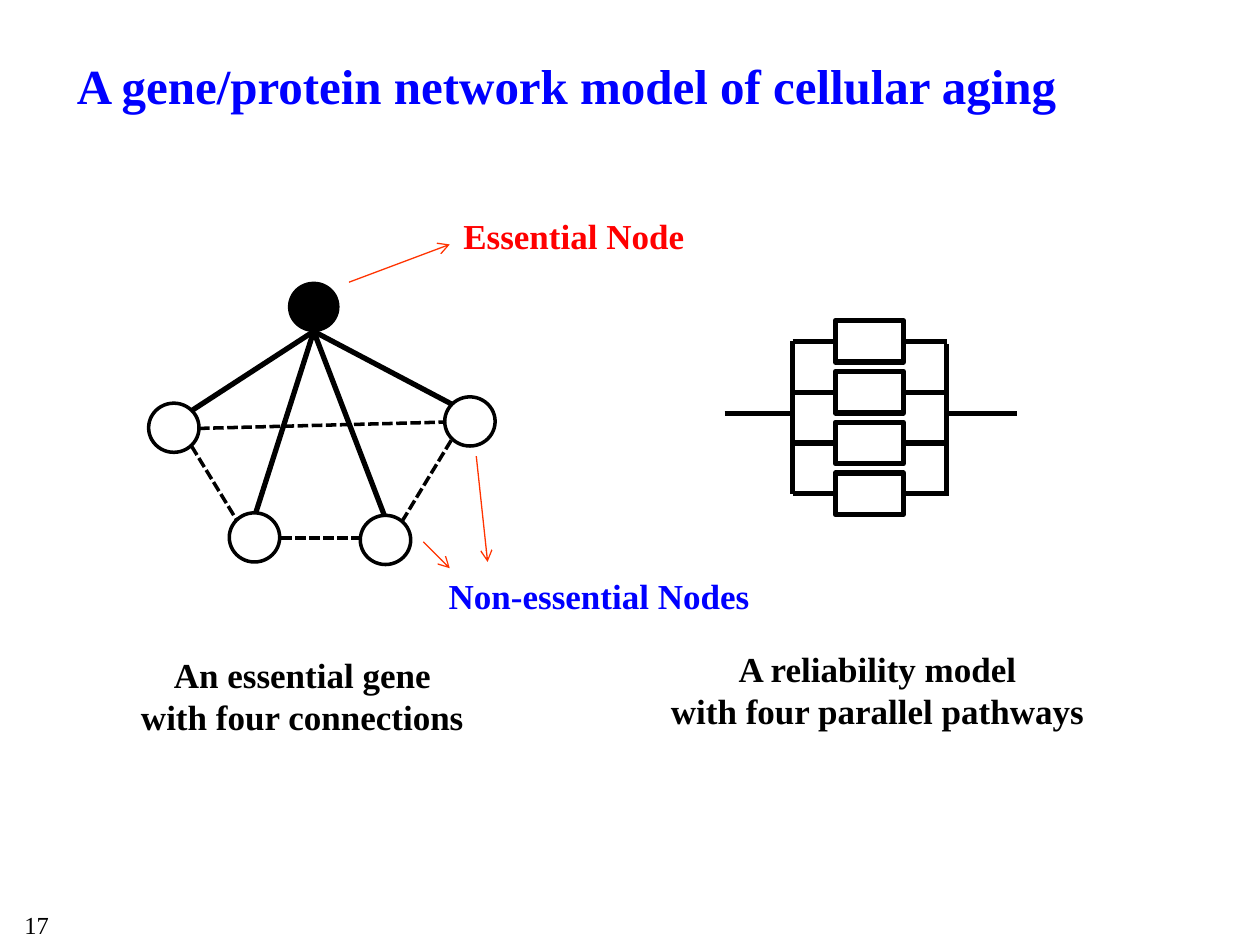
from dataclasses import dataclass

from lxml import etree
from pptx import Presentation
from pptx.dml.color import RGBColor
from pptx.enum import dml, shapes, text
from pptx.oxml import ns
from pptx.util import Inches, Pt

BLACK = RGBColor(0x00, 0x00, 0x00)
WHITE = RGBColor(0xFF, 0xFF, 0xFF)
BLUE = RGBColor(0x00, 0x00, 0xFF)
RED = RGBColor(0xFF, 0x00, 0x00)
ORANGE = RGBColor(0xFF, 0x33, 0x00)
FONT = "Times New Roman"


@dataclass
class Link:
    start: tuple[float, float]
    end: tuple[float, float]
    color: RGBColor = BLACK
    width: float = 3
    dashed: bool = False
    arrow: bool = False


@dataclass
class Node:
    left: float
    top: float
    width: float = 0.4
    height: float = 0.39
    fill: RGBColor | None = None
    line_width: float = 2
    kind: shapes.MSO_SHAPE = shapes.MSO_SHAPE.OVAL


@dataclass
class Label:
    lines: list[str]
    left: float
    top: float
    width: float
    height: float
    color: RGBColor = BLACK
    size: float = 20
    bold: bool = True


def write_line(paragraph, words: str, size: float, color: RGBColor, bold: bool) -> None:
    run = paragraph.add_run()
    run.text = words
    run.font.name = FONT
    run.font.size = Pt(size)
    run.font.bold = bold
    run.font.color.rgb = color


def draw_link(slide, link: Link) -> None:
    points = [Inches(v) for v in (*link.start, *link.end)]
    connector = slide.shapes.add_connector(shapes.MSO_CONNECTOR.STRAIGHT, *points)
    line = connector.line
    line.color.rgb = link.color
    line.width = Pt(link.width)
    if link.dashed:
        line.dash_style = dml.MSO_LINE.SQUARE_DOT
    properties = connector._element.spPr
    if link.arrow:
        outline = properties.find(ns.qn("a:ln"))
        etree.SubElement(outline, ns.qn("a:tailEnd"), type="arrow")
    etree.SubElement(properties, ns.qn("a:effectLst"))


def draw_node(slide, node: Node) -> None:
    box = (Inches(v) for v in (node.left, node.top, node.width, node.height))
    shape = slide.shapes.add_shape(node.kind, *box)
    shape.shadow.inherit = False
    if node.fill is None:
        shape.fill.background()
    else:
        shape.fill.solid()
        shape.fill.fore_color.rgb = node.fill
    shape.line.color.rgb = BLACK
    shape.line.width = Pt(node.line_width)


def draw_label(slide, label: Label) -> None:
    box = (Inches(v) for v in (label.left, label.top, label.width, label.height))
    frame = slide.shapes.add_textbox(*box).text_frame
    frame.word_wrap = False
    for index, words in enumerate(label.lines):
        paragraph = frame.add_paragraph() if index else frame.paragraphs[0]
        paragraph.alignment = text.PP_ALIGN.CENTER
        write_line(paragraph, words, label.size, label.color, label.bold)


def draw_title(slide, words: str) -> None:
    title = slide.shapes.title
    title.left, title.top = Inches(0.51), Inches(0.26)
    title.width, title.height = Inches(8.5), Inches(1.25)
    frame = title.text_frame
    frame.vertical_anchor = text.MSO_ANCHOR.TOP
    frame.margin_top = Inches(0.18)
    frame.paragraphs[0].alignment = text.PP_ALIGN.LEFT
    write_line(frame.paragraphs[0], words, 28, BLUE, True)


def draw_reliability_model(slide) -> None:
    """Four parallel pathways between two rails, with a lead on each side."""
    left_rail, right_rail, lead_y = 6.29, 7.52, 3.28
    first_path, pitch, count = 2.71, 0.403, 4
    block_width, block_height = 0.54, 0.33
    last_path = first_path + pitch * (count - 1)

    draw_link(slide, Link((5.75, lead_y), (left_rail, lead_y)))
    for row in range(count):
        y = first_path + pitch * row
        draw_link(slide, Link((left_rail, y), (right_rail, y)))
        draw_node(slide, Node(6.63, y - block_height / 2, block_width, block_height,
                              WHITE, 3, shapes.MSO_SHAPE.RECTANGLE))
    for x, drop in ((left_rail, 0), (right_rail - 0.01, 0.02)):
        draw_link(slide, Link((x, first_path + drop), (x, last_path + drop)))
    draw_link(slide, Link((right_rail, lead_y), (8.07, lead_y)))


def draw_gene_network(slide) -> None:
    """One essential node joined to four non-essential nodes."""
    draw_node(slide, Node(2.29, 2.24, fill=BLACK, line_width=0.75))
    for left, top in ((2.86, 4.09), (1.82, 4.07), (1.18, 3.2), (3.53, 3.15)):
        draw_node(slide, Node(left, top))

    hub = (2.49, 2.63)
    for end in ((1.52, 3.26), (2.03, 4.07), (3.05, 4.09), (3.59, 3.21)):
        draw_link(slide, Link(hub, end))

    weak_links = (
        ((3.19, 4.14), (3.59, 3.48)),
        ((2.23, 4.27), (2.86, 4.27)),
        ((1.58, 3.4), (3.53, 3.35)),
        ((1.52, 3.54), (1.88, 4.13)),
    )
    for start, end in weak_links:
        draw_link(slide, Link(start, end, width=2, dashed=True))

    pointers = (
        ((2.77, 2.24), (3.57, 1.94)),
        ((3.78, 3.62), (3.87, 4.46)),
        ((3.36, 4.3), (3.57, 4.51)),
    )
    for start, end in pointers:
        draw_link(slide, Link(start, end, ORANGE, 0.75, arrow=True))


LABELS = [
    Label(["An essential gene", "with four connections"], 1.01, 5.14, 2.78, 0.77),
    Label(["A reliability model", "with four parallel pathways"], 5.21, 5.09, 3.51, 0.77),
    Label(["Essential Node"], 3.57, 1.65, 1.97, 0.44, RED),
    Label(["Non-essential Nodes"], 3.45, 4.51, 2.61, 0.44, BLUE),
    Label(["17"], -0.45, 7.17, 1.48, 0.33, size=14, bold=False),
]


def main() -> None:
    deck = Presentation()
    deck.slide_width, deck.slide_height = Inches(10), Inches(7.5)
    slide = deck.slides.add_slide(deck.slide_layouts.get_by_name("Title Only"))
    draw_title(slide, "A gene/protein network model of cellular aging")
    draw_reliability_model(slide)
    draw_gene_network(slide)
    for label in LABELS:
        draw_label(slide, label)
    deck.save("out.pptx")


if __name__ == "__main__":
    main()
